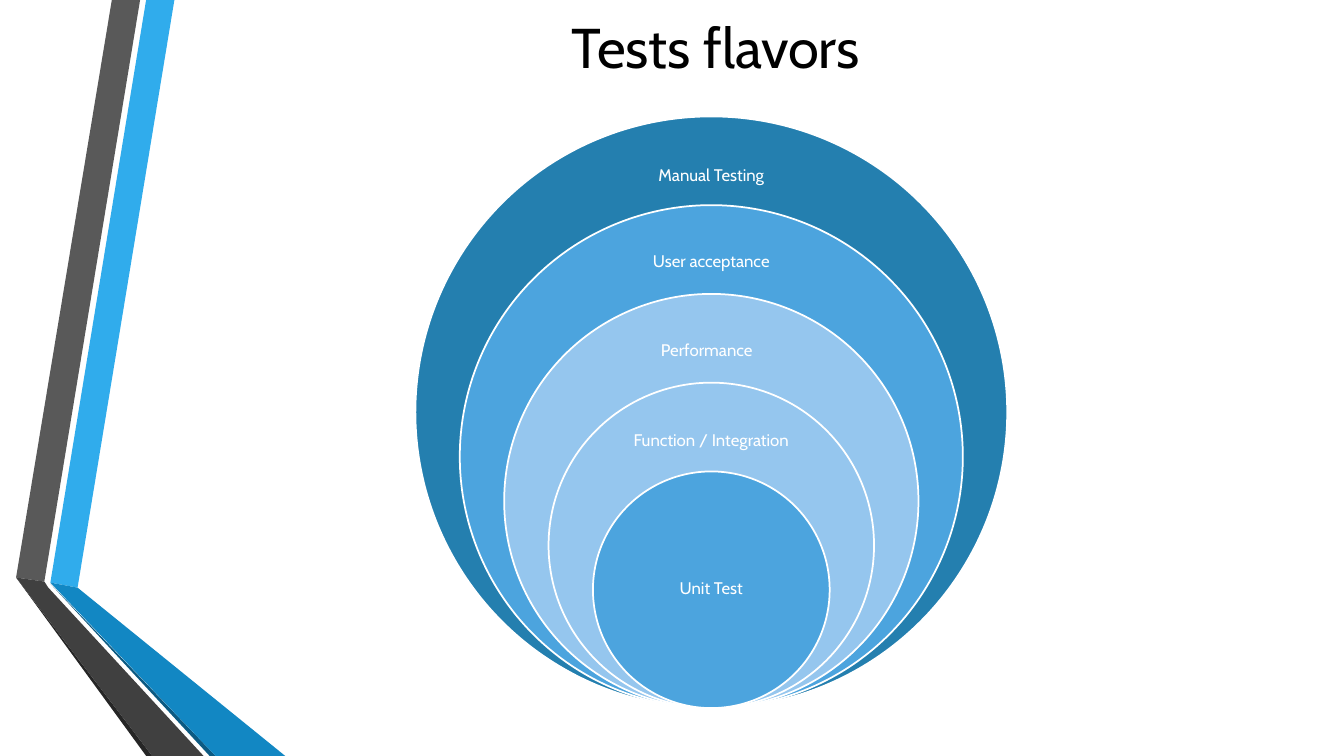
from dataclasses import dataclass

from pptx import Presentation
from pptx.dml.color import RGBColor
from pptx.enum.shapes import MSO_SHAPE
from pptx.enum.text import MSO_ANCHOR, PP_ALIGN
from pptx.util import Emu, Inches, Pt

OVAL = MSO_SHAPE.OVAL
MIDDLE = MSO_ANCHOR.MIDDLE
CENTER = PP_ALIGN.CENTER

FONT = "Cabin"
WHITE = "FFFFFF"
DEEP_BLUE, MID_BLUE, PALE_BLUE = "247FAF", "4CA4DE", "95C6EE"

# The slide is a grid of square cells, 75 rows high; all lengths are in cells.
ROWS = 75
SLIDE_HEIGHT = Inches(7.5)
CELL = SLIDE_HEIGHT / ROWS

# The rings share one centre column and one bottom row.
CENTER_COLUMN = 70.55
RING_BOTTOM = 70.25
OUTER_DIAMETER = 58.7
RING_STEP = 0.15  # share of the outer diameter lost by each inner ring


@dataclass(frozen=True)
class Ribbon:
    """One flat facet of the folded ribbons, as (column, row) corners."""
    color: str
    corners: tuple[tuple[float, float], ...]


@dataclass(frozen=True)
class Ring:
    """One test level: its label, and the label's box below the ring's top."""
    label: str
    color: str
    label_drop: float
    label_width: float
    label_height: float


RIBBONS = (
    Ribbon("30ACEC", ((5, 57.8), (7.7, 58.3), (17.3, 0), (14.5, 0))),
    Ribbon("595959", ((13.9, 0), (11.1, 0), (1.6, 57.3), (4.4, 57.7))),
    Ribbon("262626", ((1.6, 57.3), (14.5, ROWS), (15.1, ROWS))),
    Ribbon("0C5A82", ((5, 57.9), (20.8, ROWS), (21.4, ROWS))),
    Ribbon("1287C3", ((5, 57.8), (21.4, ROWS), (28.3, ROWS), (7.7, 58.3))),
    Ribbon("404040", ((20.2, ROWS), (4.8, 58.3), (4.4, 57.7), (1.6, 57.3),
                      (15.1, ROWS))),
)

RINGS = (
    Ring("Manual Testing", DEEP_BLUE, 3, 22, 5.9),
    Ring("User acceptance", MID_BLUE, 2.8, 21.5, 5.7),
    Ring("Performance\t", PALE_BLUE, 2.8, 21.3, 5.7),
    Ring("Function / Integration", PALE_BLUE, 2.9, 17.4, 5.8),
    Ring("Unit Test", MID_BLUE, 5.8, 16.6, 11.7),
)


def cells(count: float) -> Emu:
    """Turn a number of grid cells into a length."""
    return Emu(round(count * CELL))


def rgb(color: str) -> RGBColor:
    """Turn a hex string into a colour."""
    return RGBColor.from_string(color)


def draw_ribbon(slide, ribbon: Ribbon) -> None:
    """Draw one ribbon facet without an outline."""
    start, *rest = [(cells(x), cells(y)) for x, y in ribbon.corners]
    builder = slide.shapes.build_freeform(*start)
    builder.add_line_segments(rest, close=True)
    facet = builder.convert_to_shape()
    facet.shadow.inherit = False
    facet.fill.solid()
    facet.fill.fore_color.rgb = rgb(ribbon.color)
    facet.line.fill.background()


def draw_text(slide, text: str, center: float, top: float, width: float,
              height: float, size: float, color: str):
    """Write one centred line in a box and return its paragraph."""
    box = slide.shapes.add_textbox(cells(center - width / 2), cells(top),
                                   cells(width), cells(height))
    frame = box.text_frame
    frame.text = text
    frame.word_wrap = True
    frame.vertical_anchor = MIDDLE
    frame.margin_left = frame.margin_right = cells(0.9)
    frame.margin_top = frame.margin_bottom = cells(0.9)
    line = frame.paragraphs[0]
    line.alignment = CENTER
    for run in line.runs:
        run.font.name = FONT
        run.font.size = Pt(size)
        run.font.color.rgb = rgb(color)
    return line


def draw_ring(slide, ring: Ring, level: int) -> None:
    """Draw the ring at this level, counted from the outside, and its label."""
    diameter = OUTER_DIAMETER * (1 - RING_STEP * level)
    top = RING_BOTTOM - diameter
    disc = slide.shapes.add_shape(OVAL, cells(CENTER_COLUMN - diameter / 2),
                                  cells(top), cells(diameter), cells(diameter))
    disc.shadow.inherit = False
    disc.fill.solid()
    disc.fill.fore_color.rgb = rgb(ring.color)
    disc.line.color.rgb = rgb(WHITE)
    disc.line.width = Pt(1.25)
    label = draw_text(slide, ring.label, CENTER_COLUMN, top + ring.label_drop,
                      ring.label_width, ring.label_height, 12, WHITE)
    label.line_spacing = 0.9
    label.space_after = Pt(4.2)


def main() -> None:
    """Build the slide and save it."""
    deck = Presentation()
    deck.slide_width = Inches(13.33)
    deck.slide_height = SLIDE_HEIGHT
    slide = deck.slides.add_slide(deck.slide_layouts[6])
    for ribbon in RIBBONS:
        draw_ribbon(slide, ribbon)
    draw_text(slide, "Tests flavors", 71, 0, 109.6, 9.2, 40, "000000")
    for level, ring in enumerate(RINGS):
        draw_ring(slide, ring, level)
    deck.save("out.pptx")


main()
